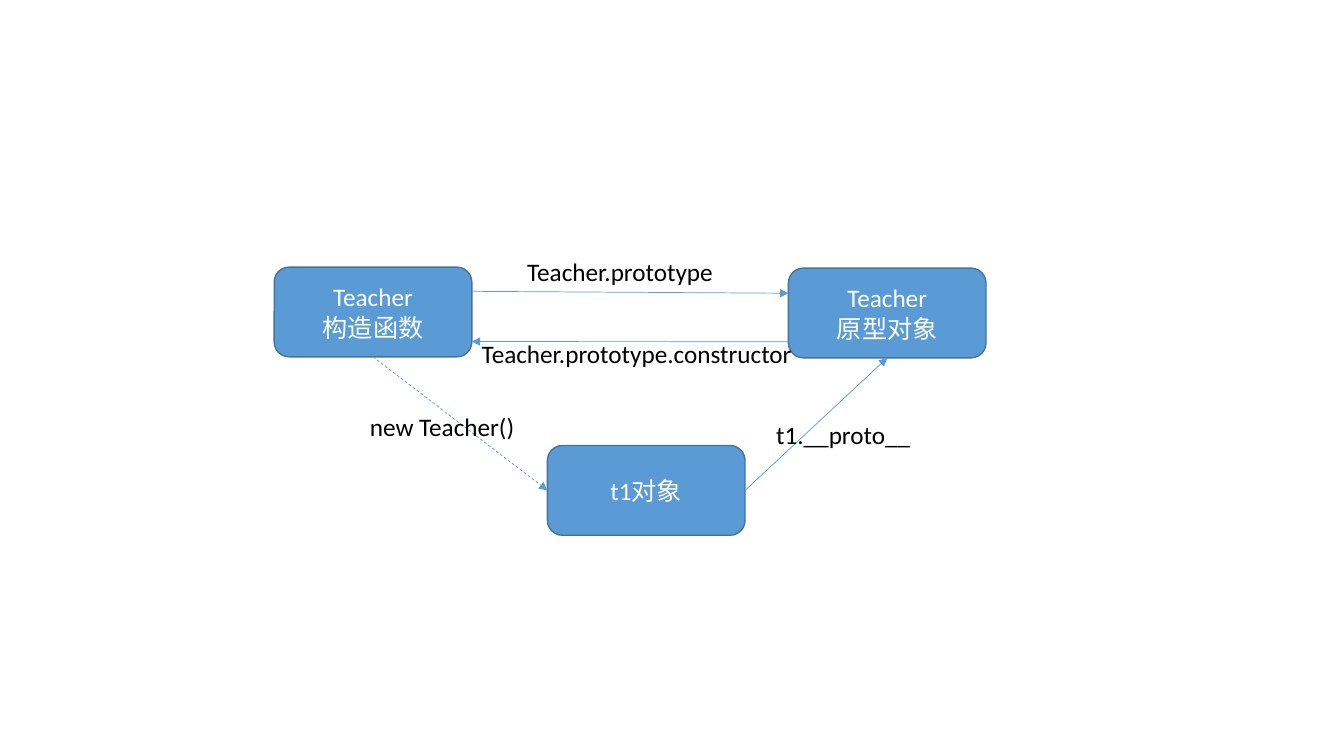
from lxml import etree
from pptx import Presentation
from pptx.dml.color import RGBColor
from pptx.enum import dml, shapes, text
from pptx.oxml import ns
from pptx.util import Inches, Pt

BLUE = RGBColor(0x5B, 0x9B, 0xD5)
DARK_BLUE = RGBColor(0x43, 0x73, 0x9E)
WHITE = RGBColor(0xFF, 0xFF, 0xFF)
BLACK = RGBColor(0, 0, 0)

NODE_WIDTH, NODE_HEIGHT = 1.96, 0.89
LABEL_HEIGHT = 0.4

# name: (left, top, lines)
NODES = {
    "constructor": (2.72, 2.65, ["Teacher", "构造函数"]),
    "prototype": (7.82, 2.66, ["Teacher", "原型对象"]),
    "instance": (5.43, 4.42, ["t1对象"]),
}

# Positions on a node as fractions of its width and height, with their glue sites
LEFT, BOTTOM, RIGHT = (0, 0.5), (0.5, 1), (1, 0.5)
SITES = {LEFT: 1, BOTTOM: 2, RIGHT: 3}

# (start node, position), (end node, position), dashed, label, (left, top, width)
LINKS = [
    (("constructor", BOTTOM), ("instance", LEFT), True,
     "new Teacher()", (3.57, 4.03, 1.65)),
    (("constructor", (1, 0.27)), ("prototype", (0, 0.28)), False,
     "Teacher.prototype", (5.13, 2.49, 2.55)),
    (("prototype", (0, 0.82)), ("constructor", (1, 0.83)), False,
     "Teacher.prototype.constructor", (4.68, 3.31, 3.44)),
    (("instance", RIGHT), ("prototype", BOTTOM), False,
     "t1.__proto__", (7.6, 4.11, 1.73)),
]


def write(shape, lines, color=BLACK, align=text.PP_ALIGN.LEFT,
          anchor=text.MSO_ANCHOR.TOP):
    """Fill a shape with one paragraph per line."""
    frame = shape.text_frame
    frame.word_wrap = True
    frame.vertical_anchor = anchor
    frame.text = "\n".join(lines)
    for para in frame.paragraphs:
        para.alignment = align
        font = para.runs[0].font
        font.name, font.size = "Calibri", Pt(18)
        font.color.rgb = color


def add_node(page, left, top, lines):
    """Draw a rounded box with centred white text."""
    box = page.shapes.add_shape(
        shapes.MSO_SHAPE.ROUNDED_RECTANGLE, Inches(left), Inches(top),
        Inches(NODE_WIDTH), Inches(NODE_HEIGHT))
    box.shadow.inherit = False
    box.fill.solid()
    box.fill.fore_color.rgb = BLUE
    box.line.color.rgb = DARK_BLUE
    box.line.width = Pt(1)
    write(box, lines, color=WHITE, align=text.PP_ALIGN.CENTER,
          anchor=text.MSO_ANCHOR.MIDDLE)
    return box


def point_on(box, position):
    """Return the slide coordinates of a fractional position on a box."""
    across, down = position
    return (box.left + round(box.width * across),
            box.top + round(box.height * down))


def add_arrow(page, start, end, dashed):
    """Join two (box, position) ends, glued where a connection site exists."""
    arrow = page.shapes.add_connector(
        shapes.MSO_CONNECTOR.STRAIGHT, *point_on(*start), *point_on(*end))
    for connect, (box, position) in ((arrow.begin_connect, start),
                                     (arrow.end_connect, end)):
        if position in SITES:
            connect(box, SITES[position])
    arrow.line.color.rgb = BLUE
    arrow.line.width = Pt(0.5)
    if dashed:
        arrow.line.dash_style = dml.MSO_LINE.DASH
    outline = arrow.line._get_or_add_ln()
    etree.SubElement(outline, ns.qn("a:tailEnd"), type="triangle")
    etree.SubElement(arrow._element.spPr, ns.qn("a:effectLst"))


def add_label(page, label, left, top, width):
    """Write the caption of an arrow."""
    box = page.shapes.add_textbox(
        Inches(left), Inches(top), Inches(width), Inches(LABEL_HEIGHT))
    write(box, [label])
    box.text_frame.auto_size = text.MSO_AUTO_SIZE.SHAPE_TO_FIT_TEXT


deck = Presentation()
deck.slide_width, deck.slide_height = Inches(13.33), Inches(7.5)
page = deck.slides.add_slide(deck.slide_layouts[6])

boxes = {name: add_node(page, *node) for name, node in NODES.items()}
for (source, leave), (target, arrive), dashed, label, place in LINKS:
    add_arrow(page, (boxes[source], leave), (boxes[target], arrive), dashed)
    add_label(page, label, *place)

deck.save("out.pptx")
